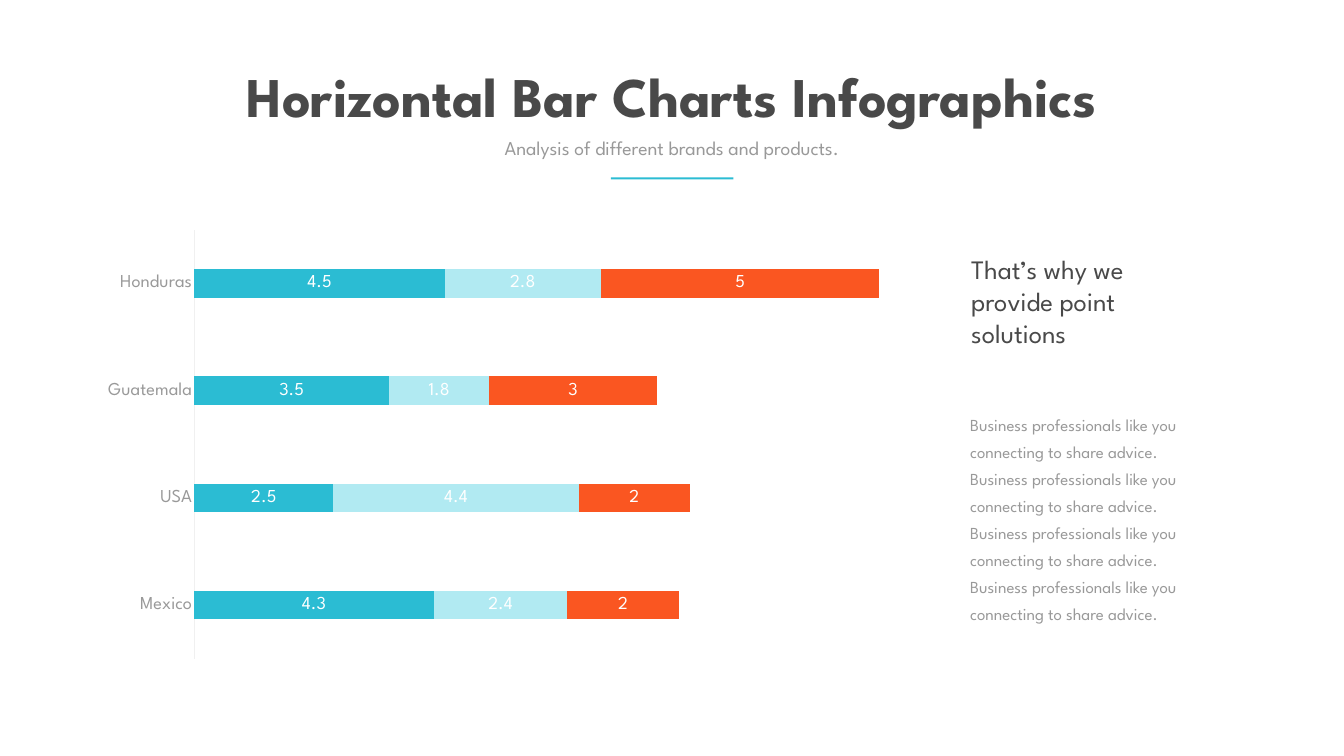
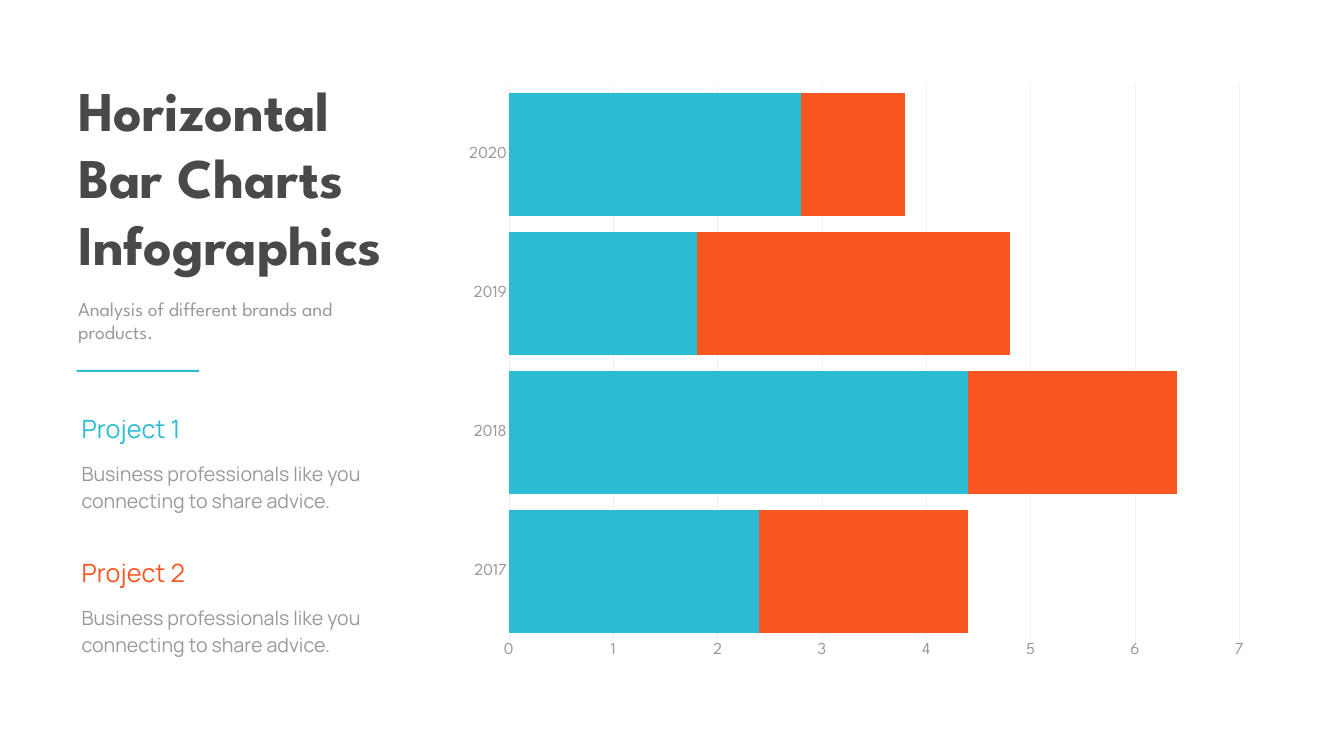
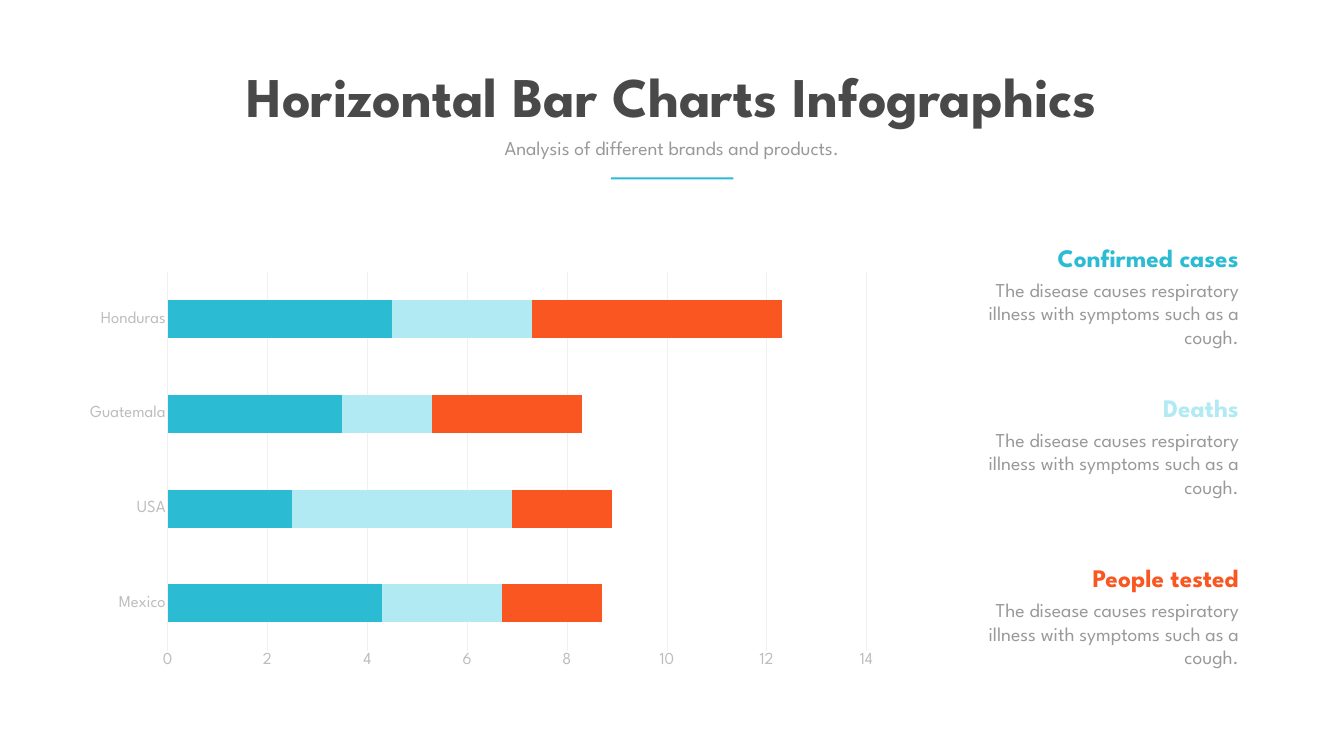
from dataclasses import dataclass

from lxml import etree
from pptx import Presentation
from pptx.chart.data import CategoryChartData
from pptx.dml.color import RGBColor
from pptx.enum.chart import XL_CHART_TYPE, XL_LABEL_POSITION, XL_TICK_MARK
from pptx.enum.shapes import MSO_SHAPE
from pptx.enum.text import MSO_ANCHOR, MSO_AUTO_SIZE, PP_ALIGN
from pptx.oxml.ns import qn
from pptx.util import Inches, Pt

LEFT, CENTER, RIGHT = PP_ALIGN.LEFT, PP_ALIGN.CENTER, PP_ALIGN.RIGHT
SLIDE_W, SLIDE_H = Inches(26.67), Inches(15)
COLORS = {
    "ink": "494949",
    "text": "999999",
    "pale_text": "BDBDBD",
    "grid": "F0F0F0",
    "teal": "2BBCD3",
    "aqua": "B1EAF2",
    "orange": "FA5621",
    "white": "FFFFFF",
}
SPARTAN, MANROPE = "League Spartan", "Manrope"
TITLE_AND_BODY, TITLE_AND_TWO_BODIES = 1, 3

SUBTITLE = "Analysis of different brands and products."
ADVICE = "Business professionals like you connecting to share advice."
SYMPTOMS = ("The disease causes respiratory illness with symptoms "
            "such as a cough.")
COUNTRIES = ["Mexico", "USA", "Guatemala", "Honduras"]
COUNTRY_VALUES = [[4.3, 2.5, 3.5, 4.5], [2.4, 4.4, 1.8, 2.8], [2, 2, 3, 5]]
COUNTRY_COLORS = ["teal", "aqua", "orange"]


@dataclass(frozen=True)
class Box:
    """A rectangle in percent of the slide's width and height."""
    left: float
    top: float
    width: float
    height: float

    def emu(self) -> tuple[int, int, int, int]:
        return (int(SLIDE_W * self.left / 100), int(SLIDE_H * self.top / 100),
                int(SLIDE_W * self.width / 100),
                int(SLIDE_H * self.height / 100))


@dataclass(frozen=True)
class Style:
    size: float
    color: str = "text"
    font: str = SPARTAN
    bold: bool = False
    align: PP_ALIGN = LEFT
    leading: float | None = None


@dataclass(frozen=True)
class Header:
    title_lines: list[str]
    title_box: Box
    subtitle_box: Box
    rule_box: Box
    align: PP_ALIGN
    wrap_title: bool


@dataclass(frozen=True)
class BarChart:
    box: Box
    categories: list[str]
    values: list[list[float]]
    colors: list[str]
    gap: int
    axis_max: int
    axis_step: int
    base_style: Style
    axis_style: Style
    show_labels: bool = False
    show_scale: bool = True
    plot_area: Box | None = None


CENTERED_HEADER = Header(
    ["Horizontal Bar Charts Infographics"], Box(15.3, 7.8, 69.37, 9.67),
    Box(32.06, 17.67, 35.85, 3.8), Box(45.45, 23.47, 9.11, 0.27),
    CENTER, False)
SIDE_HEADER = Header(
    ["Horizontal", "Bar Charts", "Infographics"], Box(5.44, 9.6, 35.14, 27.6),
    Box(5.44, 38.93, 20.02, 6.93), Box(5.7, 48.93, 9.11, 0.27),
    LEFT, True)


def rgb(color: str) -> RGBColor:
    return RGBColor.from_string(COLORS[color])


def style_font(font, style: Style) -> None:
    font.size = Pt(style.size)
    font.name = style.font
    font.bold = style.bold
    font.color.rgb = rgb(style.color)


def fill_text(holder, box: Box, lines: list[str], style: Style,
              wrap: bool = True) -> None:
    """Place a text box or placeholder and give it plain, unbulleted lines."""
    holder.left, holder.top, holder.width, holder.height = box.emu()
    frame = holder.text_frame
    frame.text = "\n".join(lines)
    frame.word_wrap = wrap
    frame.auto_size = MSO_AUTO_SIZE.SHAPE_TO_FIT_TEXT
    frame.vertical_anchor = MSO_ANCHOR.TOP
    for paragraph in frame.paragraphs:
        if holder.is_placeholder:
            properties = paragraph._p.get_or_add_pPr()
            properties.set("marL", "0")
            properties.set("indent", "0")
            etree.SubElement(properties, qn("a:buNone"))
        paragraph.alignment = style.align
        paragraph.space_before = Pt(0)
        if style.leading:
            paragraph.line_spacing = Pt(style.leading)
        style_font(paragraph.font, style)


def add_text(slide, box: Box, lines: list[str], style: Style) -> None:
    fill_text(slide.shapes.add_textbox(*box.emu()), box, lines, style)


def add_slide(deck, layout: int, header: Header):
    """Add a slide with the shared title, subtitle and accent rule."""
    slide = deck.slides.add_slide(deck.slide_layouts[layout])
    fill_text(slide.shapes.title, header.title_box, header.title_lines,
              Style(80, "ink", bold=True, align=header.align),
              header.wrap_title)
    fill_text(slide.placeholders[1], header.subtitle_box, [SUBTITLE],
              Style(28, align=header.align))
    rule = slide.shapes.add_shape(MSO_SHAPE.RECTANGLE,
                                  *header.rule_box.emu())
    rule.shadow.inherit = False
    rule.fill.solid()
    rule.fill.fore_color.rgb = rgb("teal")
    rule.line.fill.background()
    return slide


def fix_plot_area(chart, area: Box) -> None:
    """Set the inner plot area in percent of the chart."""
    plot_area = chart._chartSpace.xpath("c:chart/c:plotArea")[0]
    for old_layout in plot_area.findall(qn("c:layout")):
        plot_area.remove(old_layout)
    layout = etree.Element(qn("c:layout"))
    plot_area.insert(0, layout)
    manual = etree.SubElement(layout, qn("c:manualLayout"))
    settings = {"layoutTarget": "inner", "xMode": "edge", "yMode": "edge",
                "x": area.left / 100, "y": area.top / 100,
                "w": area.width / 100, "h": area.height / 100}
    for tag, value in settings.items():
        etree.SubElement(manual, qn(f"c:{tag}")).set("val", str(value))


def style_line(line, color: str) -> None:
    line.color.rgb = rgb(color)
    line.width = Pt(0.75)


def style_axes(chart, bars: BarChart) -> None:
    countries_or_years, scale = chart.category_axis, chart.value_axis
    for axis in (countries_or_years, scale):
        axis.major_tick_mark = axis.minor_tick_mark = XL_TICK_MARK.NONE
        style_font(axis.tick_labels.font, bars.axis_style)
    style_line(countries_or_years.format.line, "grid")
    scale.minimum_scale = 0
    scale.maximum_scale = bars.axis_max
    scale.major_unit = bars.axis_step
    scale.format.line.fill.background()
    scale.visible = bars.show_scale
    scale.has_major_gridlines = bars.show_scale
    if bars.show_scale:
        style_line(scale.major_gridlines.format.line, "grid")


def add_bar_chart(slide, bars: BarChart) -> None:
    data = CategoryChartData()
    data.categories = bars.categories
    for number, values in enumerate(bars.values, 1):
        data.add_series(f"Series {number}", values)
    chart = slide.shapes.add_chart(XL_CHART_TYPE.BAR_STACKED,
                                   *bars.box.emu(), data).chart
    chart.has_title = chart.has_legend = False
    style_font(chart.font, bars.base_style)
    plot = chart.plots[0]
    plot.gap_width, plot.overlap = bars.gap, 100
    plot.vary_by_categories = False
    for series, color in zip(plot.series, bars.colors):
        series.format.fill.solid()
        series.format.fill.fore_color.rgb = rgb(color)
        if bars.show_labels:
            labels = series.data_labels
            labels.show_value = True
            labels.position = XL_LABEL_POSITION.CENTER
            style_font(labels.font, bars.base_style)
    style_axes(chart, bars)
    if bars.plot_area:
        fix_plot_area(chart, bars.plot_area)


def build_solutions(deck) -> None:
    slide = add_slide(deck, TITLE_AND_TWO_BODIES, CENTERED_HEADER)
    add_bar_chart(slide, BarChart(
        Box(6.71, 29.2, 67.12, 59.13), COUNTRIES, COUNTRY_VALUES,
        COUNTRY_COLORS, gap=277, axis_max=14, axis_step=2,
        base_style=Style(26, "white"), axis_style=Style(26),
        show_labels=True, show_scale=False))
    add_text(slide, Box(71.89, 33.13, 18.11, 13.47),
             ["That’s why we", "provide point", "solutions"],
             Style(38, "ink"))
    fill_text(slide.placeholders[2], Box(71.81, 53.6, 20.96, 29.4),
              [ADVICE] * 4, Style(24, leading=38.6))


def build_projects(deck) -> None:
    slide = add_slide(deck, TITLE_AND_BODY, SIDE_HEADER)
    project_colors = ["teal", "orange"]
    add_bar_chart(slide, BarChart(
        Box(33.71, 9.6, 60.03, 79.07), ["2017", "2018", "2019", "2020"],
        [[2.4, 4.4, 1.8, 2.8], [2, 2, 3, 1]], project_colors,
        gap=13, axis_max=7, axis_step=1,
        base_style=Style(20, font=MANROPE), axis_style=Style(24)))
    for index, color in enumerate(project_colors):
        top = 54.33 + 19.05 * index
        add_text(slide, Box(5.7, top, 17.92, 4.73), [f"Project {index + 1}"],
                 Style(36, color, MANROPE))
        add_text(slide, Box(5.7, top + 5.93, 23.74, 7.87), [ADVICE],
                 Style(28, font=MANROPE, leading=38.6))


def build_cases(deck) -> None:
    slide = add_slide(deck, TITLE_AND_BODY, CENTERED_HEADER)
    add_bar_chart(slide, BarChart(
        Box(6.71, 31.67, 59.4, 56.67), COUNTRIES, COUNTRY_VALUES,
        COUNTRY_COLORS, gap=150, axis_max=14, axis_step=2,
        base_style=Style(10, font="Calibri"),
        axis_style=Style(24, "pale_text"),
        plot_area=Box(8.1, 7.6, 89.1, 88.5)))
    measures = zip(["Confirmed cases", "Deaths", "People tested"],
                   COUNTRY_COLORS, [31.67, 51.53, 74.07])
    for measure, color, top in measures:
        add_text(slide, Box(70.53, top, 22.01, 4.73), [measure],
                 Style(36, color, bold=True, align=RIGHT))
        add_text(slide, Box(70.53, top + 4.73, 22.01, 10.07), [SYMPTOMS],
                 Style(28, align=RIGHT))


def main() -> None:
    deck = Presentation()
    deck.slide_width, deck.slide_height = SLIDE_W, SLIDE_H
    build_solutions(deck)
    build_projects(deck)
    build_cases(deck)
    deck.save("out.pptx")


if __name__ == "__main__":
    main()
